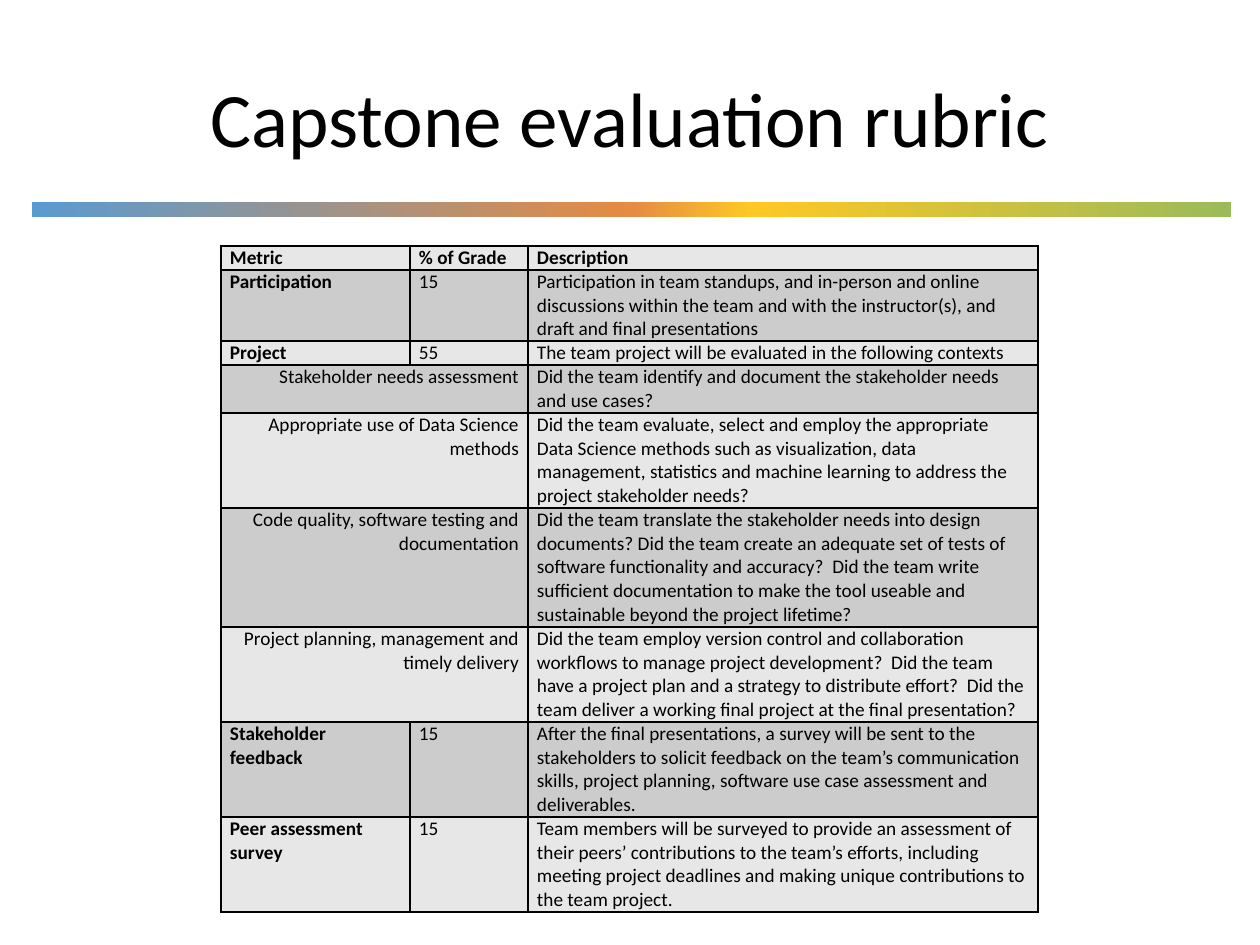
import pptx
import pptx.util
import pptx.dml.color
import pptx.enum.shapes
import pptx.enum.text
import pptx.oxml.ns
import lxml.etree

PX = 914400 / 126
FONT = "Calibri"
HUES = {
    "ink": "000000", "light": "E7E7E7", "dark": "CCCCCC",
    "blue": "599BD1", "orange": "E58B43", "gold": "FFC824", "green": "9BBB59",
}
STOPS = [(0, "blue"), (50, "orange"), (60, "gold"), (100, "green")]
COLS = [189, 118, 510]
LINE = 23.8
ROWS = [
    (1, "Metric", "% of Grade", "Description"),
    (3, "Participation", "15", "Participation in team standups, and in-person and online discussions within the team and with the instructor(s), and draft and final presentations"),
    (1, "Project", "55", "The team project will be evaluated in the following contexts"),
    (2, "Stakeholder needs assessment", "", "Did the team identify and document the stakeholder needs and use cases?"),
    (4, "Appropriate use of Data Science methods", "", "Did the team evaluate, select and employ the appropriate Data Science methods such as visualization, data management, statistics and machine learning to address the project stakeholder needs?"),
    (5, "Code quality, software testing and documentation", "", "Did the team translate the stakeholder needs into design documents? Did the team create an adequate set of tests of software functionality and accuracy?  Did the team write sufficient documentation to make the tool useable and sustainable beyond the project lifetime?"),
    (4, "Project planning, management and timely delivery", "", "Did the team employ version control and collaboration workflows to manage project development?  Did the team have a project plan and a strategy to distribute effort?  Did the team deliver a working final project at the final presentation?"),
    (4, "Stakeholder feedback", "15", "After the final presentations, a survey will be sent to the stakeholders to solicit feedback on the team’s communication skills, project planning, software use case assessment and deliverables."),
    (4, "Peer assessment survey", "15", "Team members will be surveyed to provide an assessment of their peers’ contributions to the team’s efforts, including meeting project deadlines and making unique contributions to the team project."),
]


def emu(px):
    return pptx.util.Emu(round(px * PX))


def hue(name):
    return pptx.dml.color.RGBColor.from_string(HUES[name])


def add(parent, tag, **attrs):
    return lxml.etree.SubElement(parent, pptx.oxml.ns.qn(tag), **attrs)


def style(frame, size, align, bold=False):
    para = frame.paragraphs[0]
    para.alignment = align
    for run in para.runs:
        run.font.name = FONT
        run.font.size = pptx.util.Pt(size)
        run.font.bold = bold
        run.font.color.rgb = hue("ink")


def draw_title(slide, box, text):
    frame = slide.shapes.add_textbox(*map(emu, box)).text_frame
    frame.word_wrap = True
    frame.vertical_anchor = pptx.enum.text.MSO_ANCHOR.MIDDLE
    frame.text = text
    style(frame, 44, pptx.enum.text.PP_ALIGN.CENTER)


def draw_bar(slide, box):
    kind = pptx.enum.shapes.MSO_SHAPE.RECTANGLE
    bar = slide.shapes.add_shape(kind, *map(emu, box))
    bar.shadow.inherit = False
    bar.line.fill.background()
    bar.fill.gradient()
    bar.fill.gradient_angle = 0
    stops = bar._element.spPr.find(".//" + pptx.oxml.ns.qn("a:gsLst"))
    for stop in list(stops):
        stops.remove(stop)
    for pos, name in STOPS:
        stop = add(stops, "a:gs", pos=str(pos * 1000))
        add(stop, "a:srgbClr", val=HUES[name])


def set_edge(cell):
    props = cell._tc.get_or_add_tcPr()
    for side in "LRTB":
        line = add(props, "a:ln" + side, w=str(pptx.util.Pt(1)))
        add(add(line, "a:solidFill"), "a:srgbClr", val=HUES["ink"])


def fill_cell(cell, text, shade, align, bold):
    cell.margin_left = cell.margin_right = emu(9)
    cell.margin_top = cell.margin_bottom = 0
    set_edge(cell)
    cell.fill.solid()
    cell.fill.fore_color.rgb = hue(shade)
    cell.text_frame.text = text
    style(cell.text_frame, 11, align, bold)


def draw_table(slide, left, top):
    highs = [round(row[0] * LINE) for row in ROWS]
    box = map(emu, (left, top, sum(COLS), sum(highs)))
    grid = slide.shapes.add_table(len(ROWS), len(COLS), *box).table
    for col, width in zip(grid.columns, COLS):
        col.width = emu(width)
    for r, (_, *texts) in enumerate(ROWS):
        grid.rows[r].height = emu(highs[r])
        wide = not texts[1]
        shade = "dark" if r % 2 else "light"
        for c, text in enumerate(texts):
            right = wide and c == 0
            align = pptx.enum.text.PP_ALIGN.RIGHT if right else pptx.enum.text.PP_ALIGN.LEFT
            bold = r == 0 or (c == 0 and not wide)
            fill_cell(grid.cell(r, c), text, shade, align, bold)
        if wide:
            grid.cell(r, 0).merge(grid.cell(r, 1))


def main():
    deck = pptx.Presentation()
    deck.slide_width, deck.slide_height = emu(1260), emu(945)
    slide = deck.slides.add_slide(deck.slide_layouts[6])
    draw_bar(slide, (32, 202, 1199, 15))
    draw_title(slide, (63, 38, 1134, 157), "Capstone evaluation rubric")
    draw_table(slide, 221, 246)
    deck.save("out.pptx")


if __name__ == "__main__":
    main()
